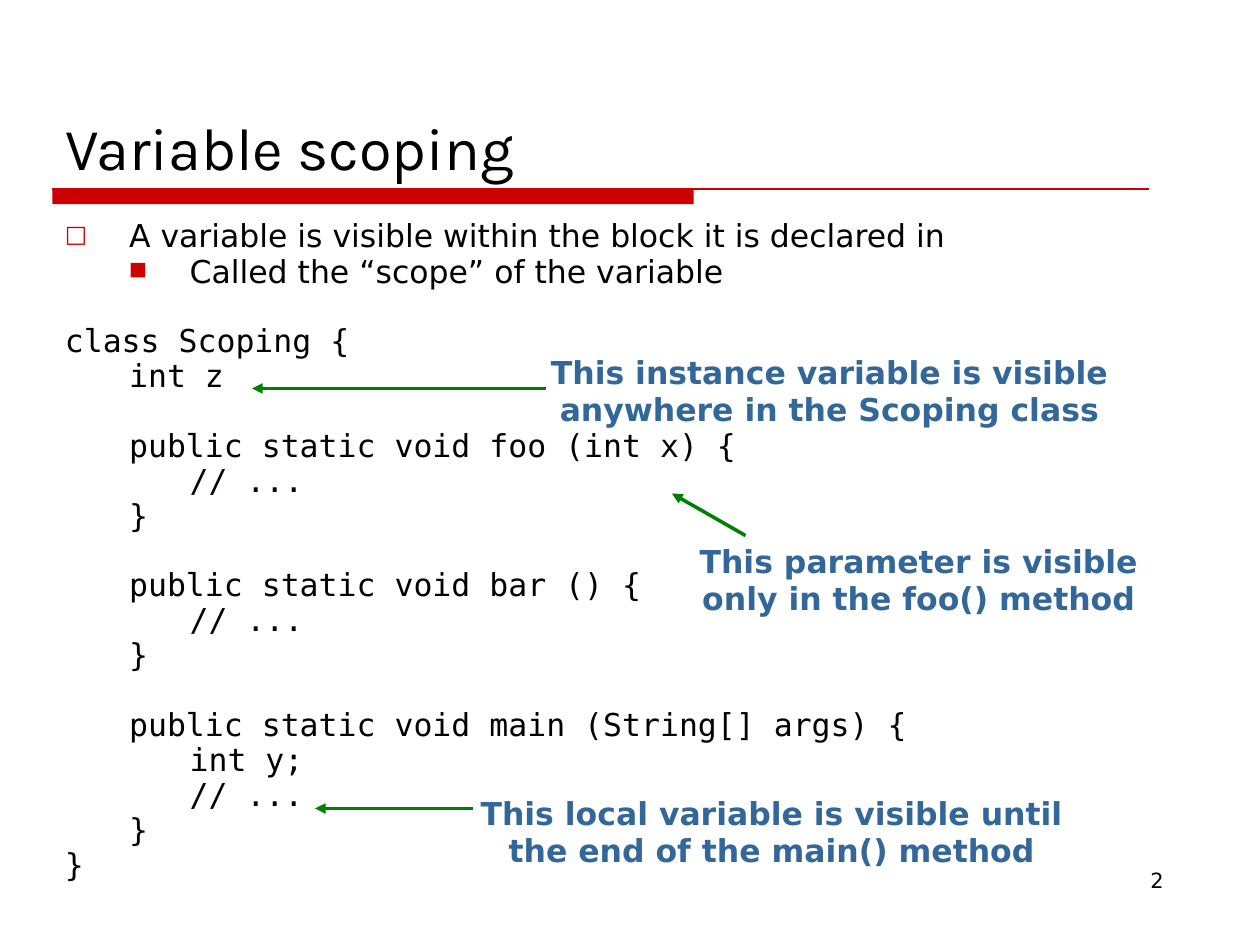
import pptx
import pptx.util
import pptx.dml.color
import pptx.enum.shapes
import pptx.enum.text
import pptx.oxml.ns
from lxml import etree

# The slide is a grid of 120 columns by 90 rows, twelve to the inch
COLUMNS, ROWS = 120, 90
CELL = pptx.util.Inches(1) / 12
SANS, MONO, HEADING = "DejaVu Sans", "DejaVu Sans Mono", "Karla"
RED, GREEN, BLUE, BLACK = "CC0000", "008000", "336699", "000000"
ALIGN = pptx.enum.text.PP_ALIGN
LINE_GAP, BLANK_LINE = 4.95, 19.62

# text, font, left margin and hanging indent in inches, bullet, bullet size %
POINTS = [
    ("A variable is visible within the block it is declared in", 0.51, 0.51, "□", 75),
    ("Called the “scope” of the variable", 0.99, 0.48, "■", 60),
]
CODE_INDENTS = [0, 0.51, 0.99]
# Groups of (level, code), set apart by the height of one line
CODE_GROUPS = [
    [(0, "class Scoping {"), (1, "int z")],
    [(1, "public static void foo (int x) {"), (2, "// ..."), (1, "}")],
    [(1, "public static void bar () {"), (2, "// ..."), (1, "}")],
    [(1, "public static void main (String[] args) {"), (2, "int y;"),
     (2, "// ..."), (1, "}"), (0, "}")],
]
# text, box, arrow start, arrow tip
NOTES = [
    ("This local variable is visible until the end of the main() method",
     (44, 75, 59, 8.4), (45, 77), (30, 77)),
    ("This instance variable is visible anywhere in the Scoping class",
     (51, 33, 56, 8.4), (52, 37), (24, 37)),
    ("This parameter is visible only in the foo() method",
     (63, 51, 49, 8.4), (71, 51), (64, 47)),
]


def cells(*values):
    return [round(value * CELL) for value in values]


def color(value):
    return pptx.dml.color.RGBColor.from_string(value)


def style(paragraph, font, size, tint, align, bold=False):
    paragraph.alignment = align
    for run in paragraph.runs:
        run.font.name = font
        run.font.size = pptx.util.Pt(size)
        run.font.bold = bold
        run.font.color.rgb = color(tint)


def add_text_box(slide, box):
    frame = slide.shapes.add_textbox(*cells(*box)).text_frame
    frame.word_wrap = True
    return frame


def add_line(slide, start, end, tint, width, arrow=False):
    line = slide.shapes.add_connector(
        pptx.enum.shapes.MSO_CONNECTOR.STRAIGHT, *cells(*start, *end))
    line.line.color.rgb = color(tint)
    line.line.width = pptx.util.Pt(width)
    if arrow:
        etree.SubElement(line.line._get_or_add_ln(),
                         pptx.oxml.ns.qn("a:tailEnd"), type="triangle")
    etree.SubElement(line._element.spPr, pptx.oxml.ns.qn("a:effectLst"))


def set_indent(paragraph, margin, hanging=0, bullet=None, bullet_size=100):
    properties = paragraph._p.get_or_add_pPr()
    properties.set("marL", str(pptx.util.Inches(margin)))
    properties.set("indent", str(-pptx.util.Inches(hanging)))
    if bullet:
        qn = pptx.oxml.ns.qn
        tint = etree.SubElement(properties, qn("a:buClr"))
        etree.SubElement(tint, qn("a:srgbClr"), val=RED)
        etree.SubElement(properties, qn("a:buSzPct"), val=str(bullet_size * 1000))
        etree.SubElement(properties, qn("a:buFont"), typeface=SANS)
        etree.SubElement(properties, qn("a:buChar"), char=bullet)


def add_rule(slide, box):
    left, top, width, height = box
    bar = slide.shapes.add_shape(
        pptx.enum.shapes.MSO_SHAPE.RECTANGLE,
        *cells(left, top, width * 0.585, height))
    bar.shadow.inherit = False
    bar.fill.solid()
    bar.fill.fore_color.rgb = color(RED)
    bar.line.fill.background()
    add_line(slide, (left, top), (left + width, top), RED, 0.75)


def set_title(slide, box):
    title = slide.shapes.title
    title.left, title.top, title.width, title.height = cells(*box)
    frame = title.text_frame
    frame.text = "Variable scoping"
    frame.word_wrap = True
    frame.auto_size = pptx.enum.text.MSO_AUTO_SIZE.NONE
    frame.vertical_anchor = pptx.enum.text.MSO_ANCHOR.BOTTOM
    style(frame.paragraphs[0], HEADING, 34, BLACK, ALIGN.LEFT)


def add_listing(slide, box):
    frame = add_text_box(slide, box)
    lines = [(text, SANS, LINE_GAP, indent) for text, *indent in POINTS]
    for group in CODE_GROUPS:
        for position, (level, text) in enumerate(group):
            gap = LINE_GAP if position else LINE_GAP + BLANK_LINE
            lines.append((text, MONO, gap, [CODE_INDENTS[level]]))

    for number, (text, font, gap, indent) in enumerate(lines):
        paragraph = frame.add_paragraph() if number else frame.paragraphs[0]
        paragraph.text = text
        set_indent(paragraph, *indent)
        paragraph.line_spacing = 0.7
        paragraph.space_before = pptx.util.Pt(gap if number else 0)
        style(paragraph, font, 18, BLACK, ALIGN.JUSTIFY)


def add_note(slide, box, text, arrow_start, arrow_tip):
    add_line(slide, arrow_start, arrow_tip, GREEN, 2, arrow=True)
    frame = add_text_box(slide, box)
    frame.text = text
    style(frame.paragraphs[0], SANS, 18, BLUE, ALIGN.CENTER, bold=True)


def add_page_number(slide, box):
    frame = add_text_box(slide, box)
    frame.text = "2"
    style(frame.paragraphs[0], SANS, 12, BLACK, ALIGN.RIGHT)


def main():
    deck = pptx.Presentation()
    deck.slide_width, deck.slide_height = cells(COLUMNS, ROWS)
    slide = deck.slides.add_slide(deck.slide_layouts[5])

    # Heading
    add_rule(slide, (5, 18, 104.4, 1.45))
    set_title(slide, (5, 2, 108, 16))

    # Points and code, then the notes on the code
    add_listing(slide, (5, 21, 113, 69))
    for text, box, start, tip in NOTES:
        add_note(slide, box, text, start, tip)

    add_page_number(slide, (86, 82, 26, 6.25))
    deck.save("out.pptx")


if __name__ == "__main__":
    main()
